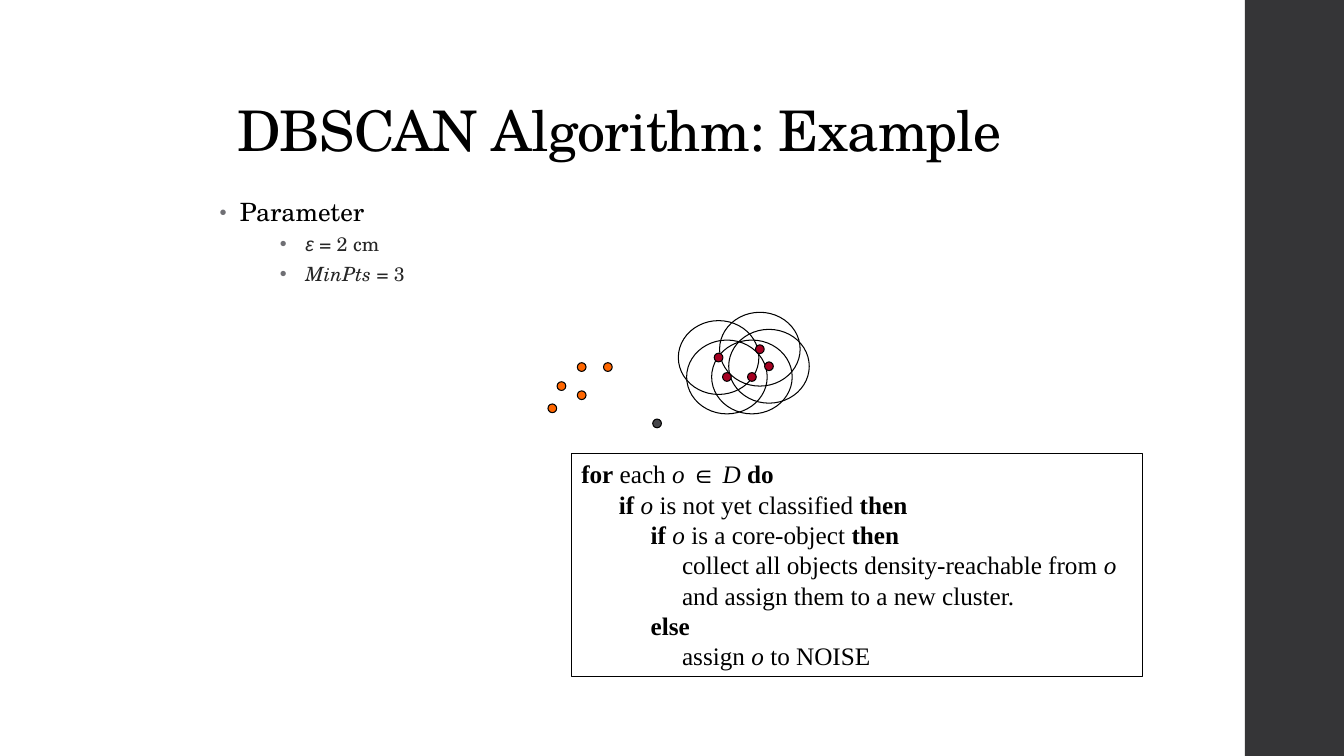
from lxml import etree
from pptx import Presentation
from pptx.dml.color import RGBColor
from pptx.enum.shapes import MSO_SHAPE
from pptx.enum.text import MSO_ANCHOR, MSO_AUTO_SIZE, PP_ALIGN
from pptx.oxml.ns import qn
from pptx.util import Cm, Pt

OVAL, RECTANGLE = MSO_SHAPE.OVAL, MSO_SHAPE.RECTANGLE
LEFT = PP_ALIGN.LEFT
TOP, BOTTOM = MSO_ANCHOR.TOP, MSO_ANCHOR.BOTTOM
NO_AUTOFIT = MSO_AUTO_SIZE.NONE

SCHOOLBOOK, SERIF, SANS = "TeX Gyre Schola", "Times New Roman", "Arial"
BLACK, BODY_GRAY, BULLET_GRAY, BAR_GRAY = "000000", "262626", "6F6F74", "353537"
ORANGE, RED, NOISE_GRAY = "FF6600", "A50021", "46464A"

# Point centres in cm, relative to the plot box
UNVISITED = [(0.12, 2.49), (0.86, 1.45), (1.52, 1.45), (0.35, 1.93), (0.86, 2.16)]
NOISE = [(2.76, 2.87)]
CLUSTER = [(5.58, 1.43), (5.35, 1.0), (5.15, 1.7), (4.52, 1.7), (4.31, 1.21)]
DOT_SIZE = (0.22, 0.22)
NEIGHBOURHOOD_SIZE = (2.03, 1.86)

# Runs are (text, style); style holds b for bold, i for italic, s for the symbol font
PARAMETERS = [
    (0, [("Parameter", "")]),
    (2, [("ε", "is"), (" = 2 cm", "")]),
    (2, [("MinPts", "i"), (" = 3", "")]),
]
# Each line is (indent in cm, runs)
CODE = [
    (0, [("for", "b"), (" each ", ""), ("o ", "i"), ("∈", "s"), (" D ", "i"), ("do", "b")]),
    (0.95, [("if ", "b"), ("o", "i"), (" is not yet classified ", ""), ("then", "b")]),
    (1.75, [("if ", "b"), ("o", "i"), (" is a core-object ", ""), ("then", "b")]),
    (2.54, [("collect all objects density-reachable from ", ""), ("o", "i")]),
    (2.54, [("and assign them to a new cluster.", "")]),
    (1.75, [("else", "b")]),
    (2.54, [("assign ", ""), ("o", "i"), (" to NOISE", "")]),
]


def rgb(color):
    return RGBColor.from_string(color)


def place(shape, box):
    shape.left, shape.top, shape.width, shape.height = [Cm(value) for value in box]


def add_shape(slide, kind, box, fill=None, line=None):
    shape = slide.shapes.add_shape(kind, *[Cm(value) for value in box])
    shape.shadow.inherit = False
    if fill:
        shape.fill.solid()
        shape.fill.fore_color.rgb = rgb(fill)
    else:
        shape.fill.background()
    if line:
        shape.line.color.rgb = rgb(line)
        shape.line.width = Pt(0.75)
    else:
        shape.line.fill.background()
    return shape


def format_run(run, font, size, color, style="", spacing=0):
    run.font.name = SANS if "s" in style else font
    run.font.size = Pt(size)
    run.font.bold = "b" in style
    run.font.italic = "i" in style
    run.font.color.rgb = rgb(color)
    run._r.get_or_add_rPr().set("spc", str(spacing))


def fill_paragraph(paragraph, runs, font, size, color, spacing=0):
    paragraph.alignment = LEFT
    for text, style in runs:
        run = paragraph.add_run()
        run.text = text
        format_run(run, font, size, color, style, spacing)


def next_paragraph(text_frame, index):
    return text_frame.add_paragraph() if index else text_frame.paragraphs[0]


def set_indent(paragraph, margin, first_line=0):
    properties = paragraph._p.get_or_add_pPr()
    properties.set("marL", str(Cm(margin)))
    properties.set("indent", str(Cm(first_line)))
    return properties


def set_bullet(properties, size_percent):
    color = etree.SubElement(properties, qn("a:buClr"))
    etree.SubElement(color, qn("a:srgbClr")).set("val", BULLET_GRAY)
    etree.SubElement(properties, qn("a:buSzPct")).set("val", str(size_percent * 1000))
    etree.SubElement(properties, qn("a:buFont")).set("typeface", SANS)
    etree.SubElement(properties, qn("a:buChar")).set("char", "•")


def build_title(slide, box):
    title = slide.shapes.title
    place(title, box)
    text_frame = title.text_frame
    text_frame.text = "DBSCAN Algorithm: Example"
    text_frame.auto_size = NO_AUTOFIT
    text_frame.vertical_anchor = BOTTOM
    paragraph = text_frame.paragraphs[0]
    paragraph.alignment = LEFT
    paragraph.line_spacing = 0.9
    format_run(paragraph.runs[0], SCHOOLBOOK, 40, BLACK, spacing=-50)


def build_parameters(slide, box):
    body = slide.placeholders[1]
    place(body, box)
    text_frame = body.text_frame
    text_frame.auto_size = NO_AUTOFIT
    text_frame.vertical_anchor = TOP
    for index, (level, runs) in enumerate(PARAMETERS):
        paragraph = next_paragraph(text_frame, index)
        paragraph.level = level
        if level:
            paragraph.line_spacing = 0.9
            paragraph.space_before = paragraph.space_after = Pt(3)
            fill_paragraph(paragraph, runs, SCHOOLBOOK, 14, BODY_GRAY)
            set_bullet(set_indent(paragraph, 2.16, -0.64), 100)
        else:
            paragraph.line_spacing = 0.95
            paragraph.space_before, paragraph.space_after = Pt(14), Pt(2)
            fill_paragraph(paragraph, runs, SCHOOLBOOK, 18, BLACK, spacing=10)
            set_bullet(set_indent(paragraph, 0.51, -0.51), 80)


def build_plot(slide, left, top):
    def add_circles(centres, size, fill=None):
        width, height = size
        for x, y in centres:
            box = (left + x - width / 2, top + y - height / 2, width, height)
            add_shape(slide, OVAL, box, fill, BLACK)

    add_circles(UNVISITED, DOT_SIZE, ORANGE)
    add_circles(NOISE, DOT_SIZE, NOISE_GRAY)
    # Neighbourhoods around the clustered points
    add_circles(CLUSTER, NEIGHBOURHOOD_SIZE)
    add_circles(CLUSTER, DOT_SIZE, RED)


def build_code(slide, box):
    frame = add_shape(slide, RECTANGLE, box, line=BLACK)
    text_frame = frame.text_frame
    text_frame.word_wrap = True
    text_frame.vertical_anchor = TOP
    for index, (indent, runs) in enumerate(CODE):
        paragraph = next_paragraph(text_frame, index)
        paragraph.line_spacing = Pt(21.65)
        fill_paragraph(paragraph, runs, SERIF, 18, BLACK)
        set_indent(paragraph, indent)


def main():
    presentation = Presentation()
    presentation.slide_width, presentation.slide_height = Cm(33.87), Cm(19.05)
    slide = presentation.slides.add_slide(presentation.slide_layouts[1])

    # Side bar
    add_shape(slide, RECTANGLE, (31.37, 0, 2.5, 19.05), BAR_GRAY)
    # Title and parameter list
    build_title(slide, (5.72, 0.64, 22.23, 3.6))
    build_parameters(slide, (5.28, 4.88, 21.59, 11.43))
    # Point plot and pseudocode
    build_plot(slide, 13.8, 7.8)
    build_code(slide, (14.4, 11.43, 14.4, 5.61))

    presentation.save("out.pptx")


if __name__ == "__main__":
    main()
